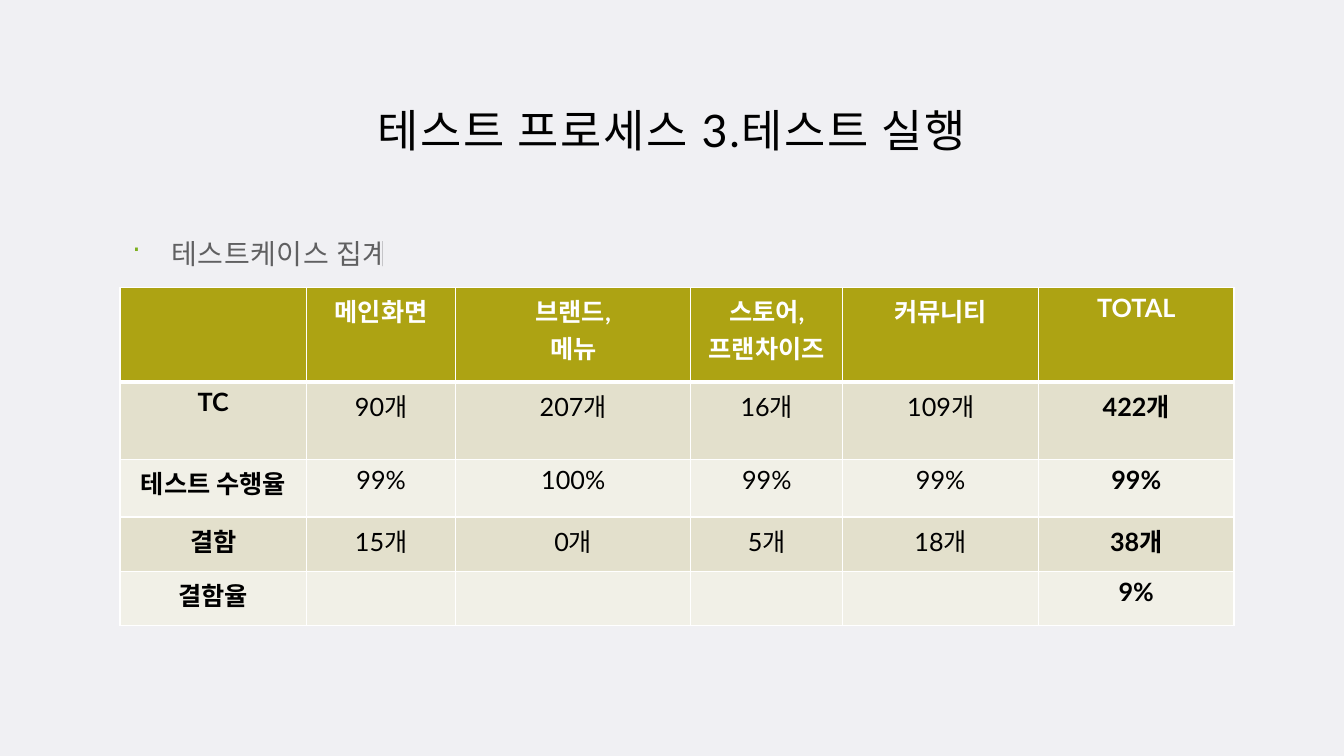
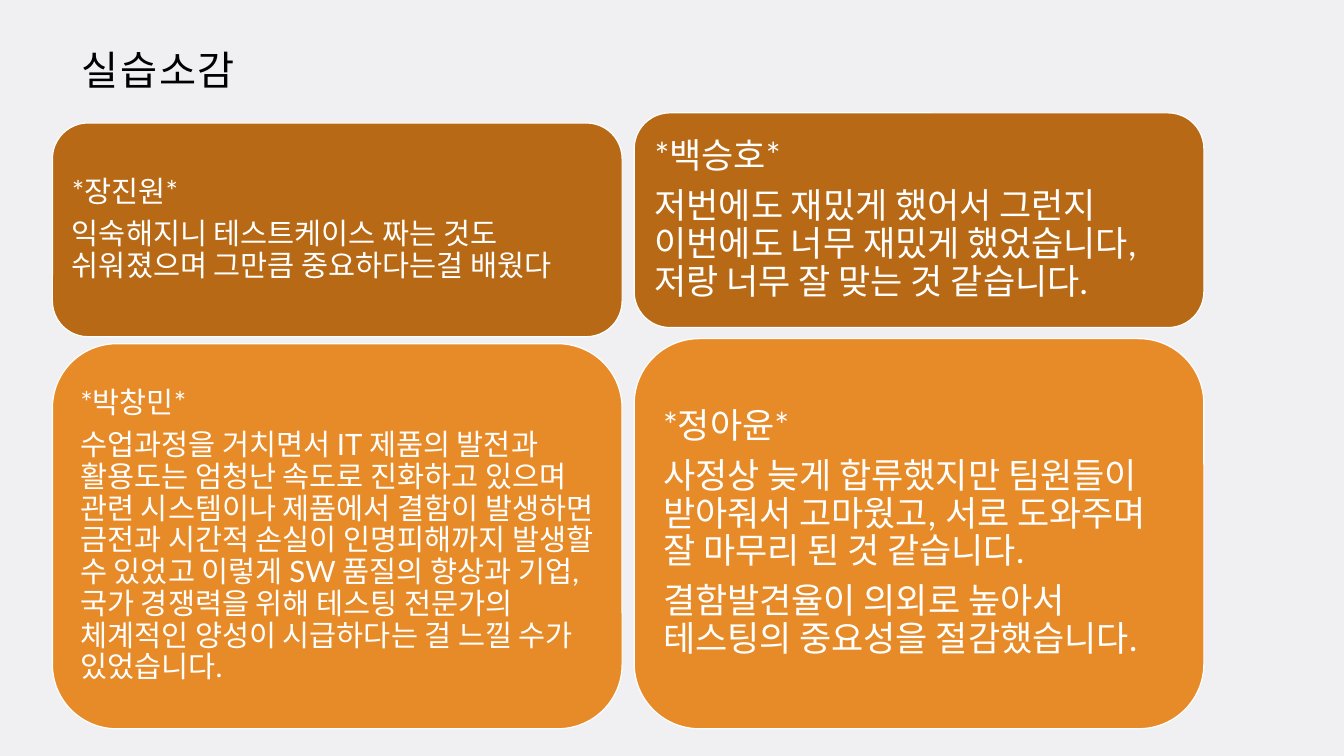
from dataclasses import dataclass

from lxml.etree import SubElement
from pptx import Presentation
from pptx.dml.color import RGBColor
from pptx.enum.shapes import MSO_SHAPE
from pptx.enum.text import MSO_ANCHOR, PP_ALIGN
from pptx.oxml.ns import qn
from pptx.util import Inches, Pt


@dataclass(frozen=True)
class Theme:
    font: str = "Lato"
    back: str = "F0F0F3"
    ink: str = "000000"
    white: str = "FFFFFF"
    mark: str = "7DB01F"
    head: str = "ADA313"
    bands: tuple = ("E3E0CC", "F1F0E7")
    brown: str = "B76915"
    orange: str = "E78B29"
    title: float = 32
    small: float = 28.8
    body: float = 20
    cell: float = 18
    note: float = 21
    large: float = 25


def put(item, values):
    for name, value in values.items():
        setattr(item, name, value)


def paint(fill, color):
    fill.solid()
    fill.fore_color.rgb = RGBColor.from_string(color)


class Deck:
    """Holds the style and the current slide, and draws each kind of element."""

    def __init__(self, theme):
        self.theme = theme
        self.file = Presentation()
        put(self.file, {"slide_width": Inches(13.33), "slide_height": Inches(7.5)})
        self.slide = None

    def page(self):
        self.slide = self.file.slides.add_slide(self.file.slide_layouts[6])
        paint(self.slide.background.fill, self.theme.back)

    def text(self, frame, lines, size, color, bold=False, track=0, **form):
        for count, line in enumerate(lines):
            para = frame.add_paragraph() if count else frame.paragraphs[0]
            put(para, form)
            run = para.add_run()
            run.text = line
            put(run.font, {"name": self.theme.font, "size": Pt(size), "bold": bold})
            run.font.color.rgb = RGBColor.from_string(color)
            if track:
                run._r.get_or_add_rPr().set("spc", str(round(track * 100)))

    def box(self, area, line, size, track, anchor=MSO_ANCHOR.TOP, **form):
        frame = self.slide.shapes.add_textbox(*map(Inches, area)).text_frame
        edge = Inches(0.12)
        put(frame, {"word_wrap": True, "vertical_anchor": anchor,
                    "margin_left": edge, "margin_top": edge,
                    "margin_right": edge, "margin_bottom": Inches(0.1)})
        self.text(frame, [line], size, self.theme.ink, track=track, **form)
        return frame.paragraphs[0]

    def title(self, area, line, size, **form):
        self.box(area, line, size, 1.2, **form)

    def bullet(self, area, line):
        para = self.box(area, line, self.theme.body, 0.4,
                        line_spacing=1.5, space_before=Pt(10))
        props = para._p.get_or_add_pPr()
        dent = Inches(0.39)
        props.set("marL", str(dent))
        props.set("indent", str(-dent))
        tint = SubElement(props, qn("a:buClr"))
        SubElement(tint, qn("a:srgbClr"), val=self.theme.mark)
        SubElement(props, qn("a:buChar"), char="·")
        color = next(para.runs[0]._r.iter(qn("a:srgbClr")))
        SubElement(color, qn("a:alpha"), val="60000")

    def border(self, cell, sides):
        props = cell._tc.get_or_add_tcPr()
        for side, width in sides.items():
            line = SubElement(props, qn("a:ln" + side), w=str(Pt(width)))
            fill = SubElement(line, qn("a:solidFill"))
            SubElement(fill, qn("a:srgbClr"), val=self.theme.white)

    def table(self, left, top, wides, highs, rows):
        look = self.theme
        area = map(Inches, (left, top, sum(wides), sum(highs)))
        grid = self.slide.shapes.add_table(len(rows), len(wides), *area).table
        grid.horz_banding = False
        for col, wide in zip(grid.columns, wides):
            col.width = Inches(wide)
        for down, (row, high) in enumerate(zip(rows, highs)):
            grid.rows[down].height = Inches(high)
            head = down == 0
            tone = look.head if head else look.bands[(down - 1) % 2]
            for over, text in enumerate(row):
                cell = grid.cell(down, over)
                self.border(cell, {"L": 1, "R": 1, "T": 3 if down == 1 else 1,
                                   "B": 3 if head else 1})
                paint(cell.fill, tone)
                if text:
                    self.text(cell.text_frame, text.split("\n"), look.cell,
                              look.white if head else look.ink,
                              bold=head or over in (0, len(row) - 1),
                              alignment=PP_ALIGN.CENTER)

    def card(self, area, color, size, edge, lines):
        shape = self.slide.shapes.add_shape(
            MSO_SHAPE.ROUNDED_RECTANGLE, *map(Inches, area))
        shape.shadow.inherit = False
        paint(shape.fill, color)
        paint(shape.line.fill, self.theme.white)
        shape.line.width = Pt(0.85)
        frame = shape.text_frame
        put(frame, {"word_wrap": True, "vertical_anchor": MSO_ANCHOR.MIDDLE})
        put(frame, {"margin_" + side: Inches(edge)
                    for side in ("left", "top", "right", "bottom")})
        self.text(frame, lines, size, self.theme.white, alignment=PP_ALIGN.LEFT,
                  line_spacing=0.9, space_after=Pt(size * 0.35))


def main():
    look = Theme()
    deck = Deck(look)

    deck.page()
    deck.title((1.08, 0.43, 11.17, 1.22), "테스트 프로세스 3.테스트 실행", look.title,
               anchor=MSO_ANCHOR.BOTTOM, alignment=PP_ALIGN.CENTER)
    deck.bullet((1.19, 2.06, 11.17, 4.5), "테스트케이스 집계")
    deck.table(1.19, 2.85, (1.85, 1.48, 2.33, 1.51, 1.94, 1.94),
               (0.94, 0.77, 0.57, 0.54, 0.54), (
        ("", "메인화면", "브랜드,\n메뉴", "스토어,\n프랜차이즈", "커뮤니티", "TOTAL"),
        ("TC", "90개", "207개", "16개", "109개", "422개"),
        ("테스트 수행율", "99%", "100%", "99%", "99%", "99%"),
        ("결함", "15개", "0개", "5개", "18개", "38개"),
        ("결함율", "", "", "", "", "9%")))

    deck.page()
    deck.title((0.69, 0.33, 3.59, 0.69), "실습소감", look.small)
    stacks = (
        (0.52, look.note, 0.09, (
            (1.22, 2.12, look.brown, (
                "*장진원*",
                "익숙해지니 테스트케이스 짜는 것도 쉬워졌으며 그만큼 중요하다는걸 배웠다")),
            (3.41, 3.82, look.orange, (
                "*박창민*",
                "수업과정을 거치면서 IT 제품의 발전과 활용도는 엄청난 속도로 진화하고 있으며 "
                "관련 시스템이나 제품에서 결함이 발생하면 금전과 시간적 손실이 인명피해까지 "
                "발생할 수 있었고 이렇게 SW 품질의 향상과 기업, 국가 경쟁력을 위해 테스팅 "
                "전문가의 체계적인 양성이 시급하다는 걸 느낄 수가 있었습니다.")))),
        (6.29, look.large, 0.1, (
            (1.12, 2.13, look.brown, (
                "*백승호*",
                "저번에도 재밌게 했어서 그런지 이번에도 너무 재밌게 했었습니다, "
                "저랑 너무 잘 맞는 것 같습니다.")),
            (3.36, 3.87, look.orange, (
                "*정아윤*",
                "사정상 늦게 합류했지만 팀원들이 받아줘서 고마웠고, 서로 도와주며 "
                "잘 마무리 된 것 같습니다.",
                "결함발견율이 의외로 높아서 테스팅의 중요성을 절감했습니다.")))))
    for left, size, edge, cards in stacks:
        for top, high, color, lines in cards:
            deck.card((left, top, 5.65, high), color, size, edge, lines)

    deck.file.save("out.pptx")


if __name__ == "__main__":
    main()
